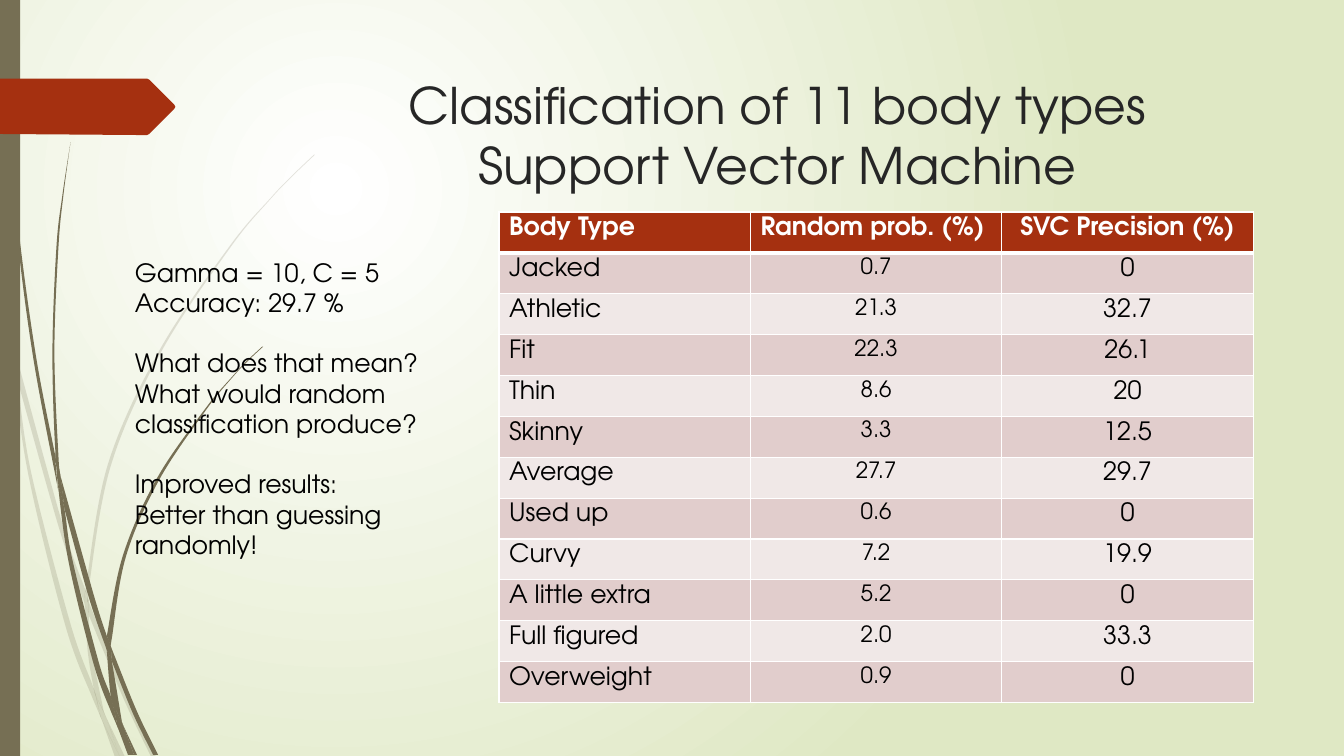
from lxml import etree
from pptx import Presentation
from pptx.dml.color import RGBColor
from pptx.enum.shapes import MSO_SHAPE
from pptx.enum.text import PP_ALIGN
from pptx.oxml import parse_xml
from pptx.oxml.ns import qn
from pptx.util import Emu, Inches, Pt

LEFT, CENTER = PP_ALIGN.LEFT, PP_ALIGN.CENTER
RECTANGLE = MSO_SHAPE.RECTANGLE
WIDTH, HEIGHT = Inches(40 / 3), Inches(7.5)
UNIT = HEIGHT / 7.5
FONT = "TeX Gyre Adventor"
NAMESPACES = ('xmlns:a="http://schemas.openxmlformats.org/drawingml/2006/main" '
              'xmlns:p="http://schemas.openxmlformats.org/presentationml/2006/main"')
COLORS = {"olive": "766F54", "rust": "A53010", "title": "262626", "text": "000000",
          "white": "FFFFFF", "lime": "DFE8C4", "odd": "E1CDCC", "even": "F0E8E7"}

PALE_GRASS = [
    "0,2.82 .09,3.22 .11,3.5 / .1,3.44 0,2.99",
    ".14,3.45 .62,5.2 .85,5.86 / .84,5.99 .58,5.22 .17,3.76",
    ".88,5.96 .92,6.07 1.27,6.92 1.55,7.51 / 1.5,7.51 1.23,6.94 .88,6.1",
    "1.05,7.11 1.24,7.51 / 1.19,7.51",
    ".11,3.5 .17,3.76 .31,4.69 .7,6.19 .93,6.83 .99,7.07 1.01,7.14 / "
    ".92,6.93 .65,6.21 .28,4.7 .11,3.5",
    ".84,5.99 .87,6.46 .93,6.83 .96,6.92 1.05,7.11 / 1.03,7.06 .91,6.46 .88,6.1 .88,6.08",
    ".85,5.86 .85,5.84 1.07,4.61 1.58,3.48 2.28,2.44 2.68,1.97 2.89,1.75 3.12,1.53 / "
    "3.12,1.54 2.9,1.75 2.68,1.98 2.29,2.45 1.6,3.49 1.1,4.62 .88,5.84 .88,5.96",
    "1.01,7.14 1.19,7.51 / 1.14,7.51",
    ".85,5.86 .88,5.96 .88,6.1 / .88,6.08 .84,5.99",
    ".93,6.83 .96,6.92 1.05,7.11 1.19,7.51 / 1.19,7.51 1.01,7.14 .99,7.07",
]
DARK_GRASS = [
    ".03,0 .04,.48 .07,1.1 .17,2.33 .33,3.55 .56,4.77 .57,4.81 / "
    ".55,4.57 .55,4.53 .36,3.55 .19,2.32 .08,1.09 .05,.48 .04,0",
    ".6,4.72 .93,5.9 1.06,6.31 / 1.06,6.45 .88,5.92 .64,5.05",
    "1.1,6.41 1.13,6.49 1.36,7.06 1.57,7.49 / 1.52,7.49 1.32,7.08 1.11,6.56",
    ".57,4.77 .64,5.05 .72,5.56 .98,6.57 1.1,6.91 1.16,7.17 1.17,7.22 / "
    "1.11,7.08 .93,6.59 .68,5.57 .57,4.77",
    ".7,1.41 .63,1.93 .58,2.45 .54,3.49 .58,4.53 .6,4.72 / "
    ".6,4.72 .55,4.49 .52,3.49 .56,2.45 .62,1.93 .7,1.41",
    "1.22,7.19 1.36,7.49 / 1.33,7.49",
    ".55,4.49 .6,4.72 .64,5.05 / .57,4.77 .55,4.53",
    "1.06,6.31 1.22,5.51 1.56,4.74 2.04,4.05 2.31,3.73 2.45,3.58 2.6,3.44 / "
    "2.61,3.44 2.45,3.59 2.31,3.74 2.05,4.06 1.58,4.76 1.25,5.52 1.11,6.33 1.1,6.41",
    "1.17,7.22 1.31,7.49 / 1.27,7.49",
    "1.06,6.45 1.1,6.91 1.16,7.06 1.22,7.19 / 1.21,7.16 1.11,6.56 1.09,6.51",
    "1.06,6.31 1.1,6.41 1.11,6.56 / 1.09,6.51 1.06,6.45 1.06,6.33",
    "1.1,6.91 1.16,7.06 1.22,7.19 1.33,7.49 / 1.3,7.49 1.17,7.22 1.16,7.17",
]
ARROW = [(0, .78), (1.46, .78), (1.48, .79), (1.73, 1.04), (1.74, 1.06),
         (1.73, 1.08), (1.48, 1.33), (1.46, 1.34), (1.36, 1.34), (0, 1.33)]

RESULTS = [
    ("Body Type", "Random prob. (%)", "SVC Precision (%)"),
    ("Jacked", "0.7", "0"), ("Athletic", "21.3", "32.7"), ("Fit", "22.3", "26.1"),
    ("Thin", "8.6", "20"), ("Skinny", "3.3", "12.5"), ("Average", "27.7", "29.7"),
    ("Used up", "0.6", "0"), ("Curvy", "7.2", "19.9"), ("A little extra", "5.2", "0"),
    ("Full figured", "2.0", "33.3"), ("Overweight", "0.9", "0"),
]
NOTES = [("Gamma = 10, C = 5", 0), ("Accuracy: 29.7 %", 0), ("What does that mean?", 21.6),
         ("What would random classification produce?", 0), ("Improved results:", 21.6),
         ("Better than guessing randomly!", 0)]


def area(left, top, width, height):
    """Turn percentages of the slide into a rectangle."""
    return [Emu(round(share * side / 100)) for share, side in
            zip((left, top, width, height), (WIDTH, HEIGHT) * 2)]


def paint(shape, color, opacity=100):
    """Give a shape a plain fill without line or shadow."""
    shape.shadow.inherit = False
    shape.line.fill.background()
    shape.fill.solid()
    shape.fill.fore_color.rgb = RGBColor.from_string(COLORS[color])
    if opacity < 100:
        tint = next(shape.fill._xPr.iter(qn("a:srgbClr")))
        etree.SubElement(tint, qn("a:alpha")).set("val", str(opacity * 1000))


def write(para, text, size=18, color="text", bold=False, align=LEFT, before=0):
    """Write formatted text into a paragraph, breaking lines at newlines."""
    para.alignment = align
    para.space_before = Pt(before)
    for index, line in enumerate(text.split("\n")):
        if index:
            para.add_line_break()
        span = para.add_run()
        span.text = line
        span.font.name, span.font.size, span.font.bold = FONT, Pt(size), bold
        span.font.color.rgb = RGBColor.from_string(COLORS[color])


def add_outline(page, points, color, opacity=100):
    """Draw a closed, filled outline and return its shape."""
    corners = [(round(x * UNIT), round(y * UNIT)) for x, y in points]
    builder = page.shapes.build_freeform(*corners[0])
    builder.add_line_segments(corners[1:], close=True)
    shape = builder.convert_to_shape()
    paint(shape, color, opacity)
    return shape


def bend(line, before, start, end, after):
    """Turn a straight segment into a curve that follows its neighbours."""
    origin = line.find(qn("a:pt"))
    x, y = int(origin.get("x")), int(origin.get("y"))
    first = [start[i] + (end[i] - before[i]) / 6 - end[i] for i in (0, 1)]
    second = [(start[i] - after[i]) / 6 for i in (0, 1)]
    line.tag = qn("a:cubicBezTo")
    for index, (across, down) in enumerate((first, second)):
        handle = etree.Element(qn("a:pt"))
        handle.set("x", str(x + round(across * UNIT)))
        handle.set("y", str(y + round(down * UNIT)))
        line.insert(index, handle)


def add_blade(page, edges, opacity=100):
    """Draw a piece of grass between two smooth edges."""
    sides = [[tuple(map(float, knot.split(","))) for knot in edge.split()]
             for edge in edges.split("/")]
    shape = add_outline(page, sides[0] + sides[1], "olive", opacity)
    lines = list(shape._element.iter(qn("a:lnTo")))
    first = 0
    for knots in sides:
        padded = [knots[0], *knots, knots[-1]]
        for index in range(len(knots) - 1):
            bend(lines[first + index], *padded[index:index + 4])
        first += len(knots)


def add_text(page, place):
    """Add a wrapping text box and return its text frame."""
    frame = page.shapes.add_textbox(*place).text_frame
    frame.word_wrap = True
    return frame


def set_border(cell, side, width):
    """Draw a white border on one side of a table cell."""
    properties = cell._tc.get_or_add_tcPr()
    properties.append(parse_xml(
        f'<a:{side} {NAMESPACES} w="{Pt(width)}"><a:solidFill>'
        f'<a:srgbClr val="{COLORS["white"]}"/></a:solidFill></a:{side}>'))


def add_results(page, place):
    """Add the table of body types and precision."""
    table = page.shapes.add_table(len(RESULTS), len(RESULTS[0]), *place).table
    for r, record in enumerate(RESULTS):
        header = r == 0
        fill = "rust" if header else "odd" if r % 2 else "even"
        for c, text in enumerate(record):
            cell = table.cell(r, c)
            for side, width in (("lnL", 1), ("lnR", 1), ("lnT", 3 if r == 1 else 1),
                                ("lnB", 3 if header else 1)):
                set_border(cell, side, width)
            cell.fill.solid()
            cell.fill.fore_color.rgb = RGBColor.from_string(COLORS[fill])
            write(cell.text_frame.paragraphs[0], text, bold=header,
                  size=16 if c == 1 and not header else 18,
                  color="white" if header else "text",
                  align=CENTER if c == 2 or (c == 1 and not header) else LEFT)


def set_background(page):
    """Fill the slide with a round gradient."""
    page.element.find(qn("p:cSld")).insert(0, parse_xml(
        f'<p:bg {NAMESPACES}><p:bgPr><a:gradFill rotWithShape="1"><a:gsLst>'
        f'<a:gs pos="0"><a:srgbClr val="{COLORS["white"]}"/></a:gs>'
        f'<a:gs pos="100000"><a:srgbClr val="{COLORS["lime"]}"/></a:gs></a:gsLst>'
        '<a:path path="circle"><a:fillToRect l="50000" t="50000" r="100000" b="100000"/>'
        '</a:path></a:gradFill><a:effectLst/></p:bgPr></p:bg>'))


def main():
    """Build and save the slide."""
    deck = Presentation()
    deck.slide_width, deck.slide_height = WIDTH, HEIGHT
    page = deck.slides.add_slide(deck.slide_layouts[6])
    set_background(page)
    for grass, opacity in ((PALE_GRASS, 20), (DARK_GRASS, 100)):
        for edges in grass:
            add_blade(page, edges, opacity)
    paint(page.shapes.add_shape(RECTANGLE, *area(0, 0, 1.5, 100)), "olive")
    add_outline(page, ARROW, "rust")
    title = add_text(page, area(21.27, 9.12, 73.13, 18.67))
    write(title.paragraphs[0], "Classification of 11 body types\nSupport Vector Machine",
          size=36, color="title", align=CENTER)
    add_results(page, area(37.13, 28.04, 56.12, 64.93))
    notes = add_text(page, area(9.3, 33.33, 23.85, 41.73))
    for index, (text, before) in enumerate(NOTES):
        para = notes.add_paragraph() if index else notes.paragraphs[0]
        write(para, text, before=before)
    deck.save("out.pptx")


if __name__ == "__main__":
    main()
